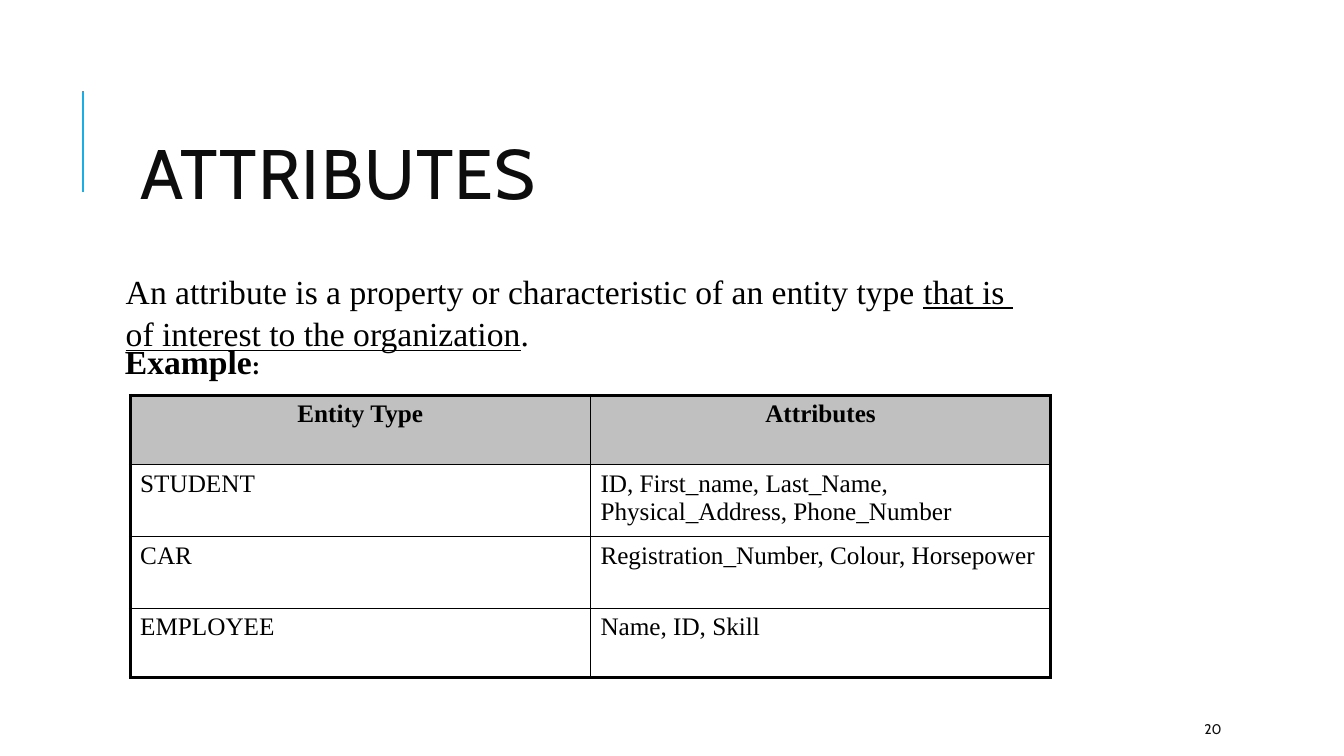
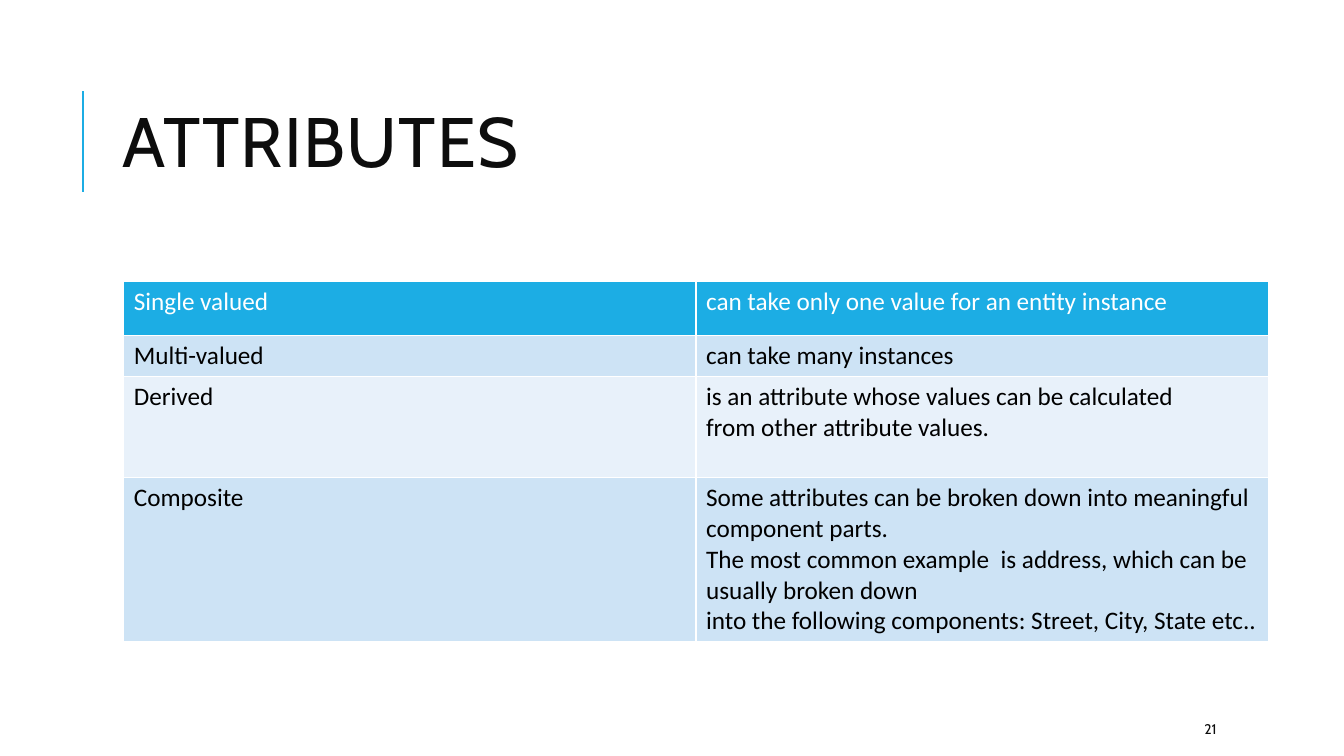
"""Build two slides on entity attributes and their kinds."""
from dataclasses import dataclass

from lxml import etree
from pptx import Presentation
from pptx import util as u
from pptx.dml import color
from pptx.enum import shapes, text
from pptx.oxml import ns


@dataclass(frozen=True)
class Theme:
    accent: str = "1CADE4"
    heading: str = "0D0D0D"
    ink: str = "000000"
    paper: str = "FFFFFF"
    grey: str = "C0C0C0"
    band: str = "CDE3F5"
    pale: str = "E8F1FA"
    title_font: str = "Cabin"
    serif: str = "Times New Roman"
    sans: str = "Calibri"
    title_size: float = 50
    lead_size: float = 24
    body_size: float = 18
    number_size: float = 10
    thin: float = 1
    rule: float = 1.5
    thick: float = 2.25


THEME = Theme()


@dataclass(frozen=True)
class TableStyle:
    font: str
    header_fill: str
    header_ink: str
    header_bold: bool
    header_align: text.PP_ALIGN
    bands: tuple
    border: str
    outer: float


GRID = TableStyle(THEME.serif, THEME.grey, THEME.ink, True, text.PP_ALIGN.CENTER,
                  (None,), THEME.ink, THEME.thick)
BANDED = TableStyle(THEME.sans, THEME.accent, THEME.paper, False, text.PP_ALIGN.LEFT,
                    (THEME.band, THEME.pale), THEME.paper, THEME.thin)


class Builder:
    def __init__(self, theme):
        self.theme = theme
        self.deck = Presentation()
        self.deck.slide_width, self.deck.slide_height = u.Cm(33.87), u.Cm(19.05)
        self.page = None

    def add_page(self, title, title_place, number):
        theme = self.theme
        self.page = self.deck.slides.add_slide(self.deck.slide_layouts[5])
        self.add_rule(2.1, 2.3, 4.83)
        self.add_title(title, title_place)
        self.add_text((30.1, 17.98, 2.69, 0.76), [[(number, {})]], theme.title_font,
                      theme.number_size, theme.heading, anchor=text.MSO_ANCHOR.MIDDLE)

    def add_rule(self, x, top, bottom):
        line = self.page.shapes.add_connector(
            shapes.MSO_CONNECTOR.STRAIGHT, u.Cm(x), u.Cm(bottom), u.Cm(x), u.Cm(top))
        line.line.color.rgb = color.RGBColor.from_string(self.theme.accent)
        line.line.width = u.Pt(self.theme.rule)
        etree.SubElement(line._element.spPr, ns.qn("a:effectLst"))

    def add_title(self, title, place):
        theme = self.theme
        box = self.page.shapes.title
        box.left, box.top, box.width, box.height = map(u.Cm, place)
        frame = box.text_frame
        frame.text = title
        frame.auto_size = text.MSO_AUTO_SIZE.NONE
        frame.vertical_anchor = text.MSO_ANCHOR.MIDDLE
        para = frame.paragraphs[0]
        para.alignment = text.PP_ALIGN.LEFT
        para.line_spacing = 0.8
        span = para.runs[0]
        self.style(span, theme.title_font, theme.title_size, theme.heading)
        span.font._element.set("spc", "100")

    def add_text(self, place, paragraphs, font, size, ink,
                 anchor=text.MSO_ANCHOR.TOP, wrap=True, spacing=1.0):
        frame = self.page.shapes.add_textbox(*map(u.Cm, place)).text_frame
        frame.word_wrap = wrap
        frame.vertical_anchor = anchor
        for index, spans in enumerate(paragraphs):
            para = frame.add_paragraph() if index else frame.paragraphs[0]
            para.line_spacing = spacing
            for words, extras in spans:
                span = para.add_run()
                span.text = words
                self.style(span, **{"font": font, "size": size, "ink": ink, **extras})

    def add_table(self, left, top, column_width, heights, rows, look):
        columns = len(rows[0])
        grid = self.page.shapes.add_table(
            len(rows), columns, u.Cm(left), u.Cm(top),
            u.Cm(column_width * columns), u.Cm(sum(heights))).table
        grid.first_row = grid.horz_banding = False
        for column in grid.columns:
            column.width = u.Cm(column_width)
        for r, (height, row) in enumerate(zip(heights, rows)):
            grid.rows[r].height = u.Cm(height)
            for c, words in enumerate(row):
                edges = {"L": c == 0, "R": c == columns - 1,
                         "T": r == 0, "B": r == len(rows) - 1}
                self.fill_cell(grid.cell(r, c), words, r, edges, look)

    def fill_cell(self, cell, words, row, edges, look):
        theme, header = self.theme, row == 0
        for side, outside in edges.items():
            self.add_border(cell, side, look.border, look.outer if outside else theme.thin)
        fill = look.header_fill if header else look.bands[(row - 1) % len(look.bands)]
        if fill:
            cell.fill.solid()
            cell.fill.fore_color.rgb = color.RGBColor.from_string(fill)
        else:
            cell.fill.background()
        cell.text_frame.text = words
        for para in cell.text_frame.paragraphs:
            para.alignment = look.header_align if header else text.PP_ALIGN.LEFT
            for span in para.runs:
                self.style(span, look.font, theme.body_size,
                           look.header_ink if header else theme.ink,
                           bold=header and look.header_bold)

    @staticmethod
    def add_border(cell, side, ink, width):
        line = etree.SubElement(cell._tc.get_or_add_tcPr(), ns.qn("a:ln" + side),
                                w=str(u.Pt(width)))
        solid = etree.SubElement(line, ns.qn("a:solidFill"))
        etree.SubElement(solid, ns.qn("a:srgbClr"), val=ink)

    @staticmethod
    def style(span, font, size, ink, bold=False, underline=False):
        span.font.name = font
        span.font.size = u.Pt(size)
        span.font.color.rgb = color.RGBColor.from_string(ink)
        span.font.bold = bold
        span.font.underline = underline


def main():
    builder = Builder(THEME)
    underlined, bold = {"underline": True}, {"bold": True}

    builder.add_page("ATTRIBUTES", (3.28, 2.92, 21.59, 3.18), "20")
    builder.add_text(
        (2.92, 6.63, 23.55, 2.31),
        [[("An attribute is a property or characteristic of an entity type ", {}),
          ("that is ", underlined)],
         [("of interest to the organization", underlined), (".", {})]],
        THEME.serif, THEME.lead_size, THEME.ink, spacing=1.06)
    builder.add_text(
        (2.9, 8.46, 3.91, 1.27),
        [[("Example", bold), (":", {**bold, "size": THEME.body_size})]],
        THEME.serif, THEME.lead_size, THEME.ink, wrap=False)
    builder.add_table(3.28, 9.96, 11.6, (1.75, 1.81, 1.81, 1.75), [
        ("Entity Type", "Attributes"),
        ("STUDENT", "ID, First_name, Last_Name, Physical_Address, Phone_Number"),
        ("CAR", "Registration_Number, Colour, Horsepower"),
        ("EMPLOYEE", "Name, ID, Skill"),
    ], GRID)

    builder.add_page("ATTRIBUTES", (2.84, 1.63, 27, 4.17), "21")
    builder.add_table(3.12, 7.09, 14.42, (1.36, 1.03, 2.56, 4.13), [
        ("Single valued", "can take only one value for an entity instance"),
        ("Multi-valued", "can take many instances"),
        ("Derived", "is an attribute whose values can be calculated\n"
                    "from other attribute values."),
        ("Composite", "Some attributes can be broken down into meaningful component parts.\n"
                      "The most common example  is address, which can be usually broken down\n"
                      "into the following components: Street, City, State etc.."),
    ], BANDED)

    builder.deck.save("out.pptx")


if __name__ == "__main__":
    main()
